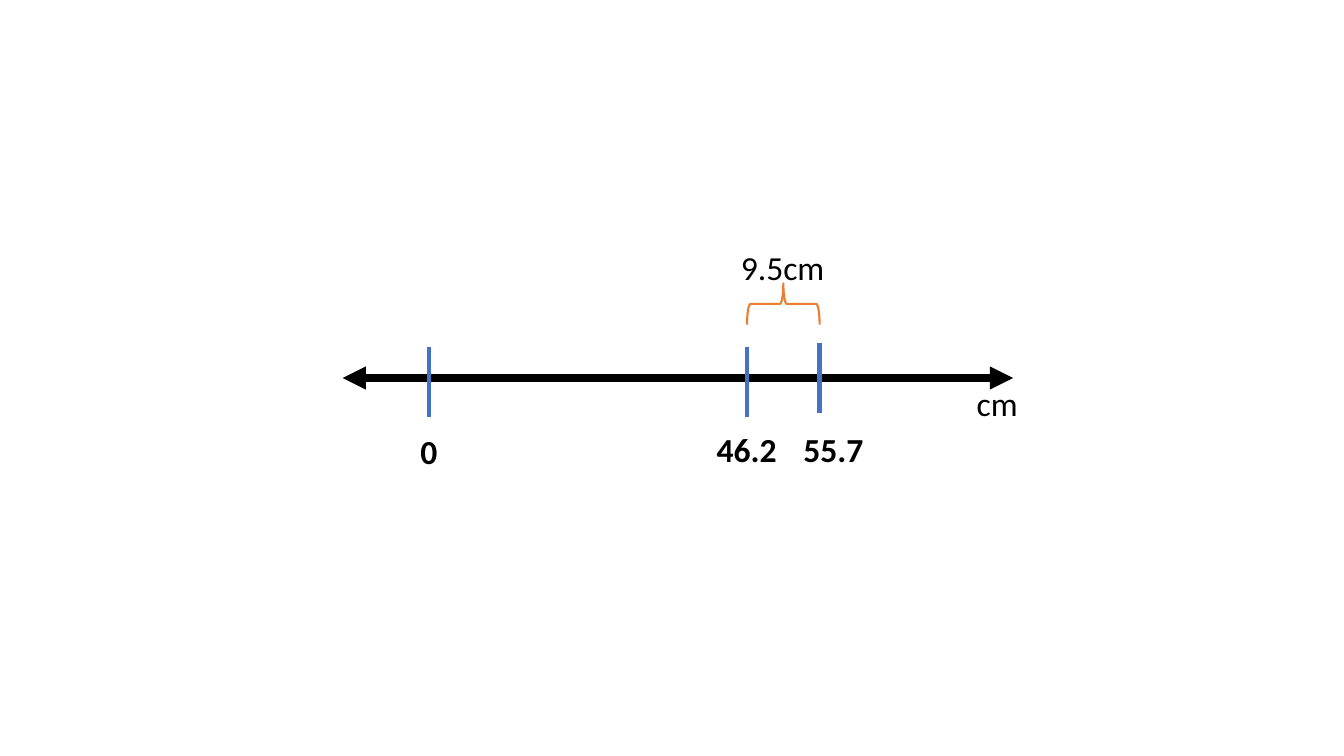
"""Build a slide with a number line in centimetres."""
from dataclasses import dataclass

from pptx import Presentation
from pptx.dml.color import RGBColor
from pptx.enum.shapes import MSO_CONNECTOR, MSO_SHAPE
from pptx.enum.text import MSO_AUTO_SIZE
from pptx.oxml.ns import qn
from pptx.util import Inches, Pt

STRAIGHT = MSO_CONNECTOR.STRAIGHT
LEFT_BRACE = MSO_SHAPE.LEFT_BRACE
GROW = MSO_AUTO_SIZE.SHAPE_TO_FIT_TEXT

WIDTH, HEIGHT = Inches(13.33), Inches(7.5)
COLUMNS = ROWS = 100
BLANK_LAYOUT = 6

AXIS_ROW = 50
TICK_ROWS = 9.33
LABEL_ROWS = 6.67
TICKS = [(31.95, 45.87), (55.58, 45.87), (60.98, 45.33)]
TICK_LABELS = [
    ("0", 30.53, 56.4, 2.78),
    ("46.2", 52.58, 56.13, 6),
    ("55.7", 59.03, 56.13, 6),
]
PLAIN_LABELS = [("9.5cm", 54.38, 32, 7.8), ("cm", 71.93, AXIS_ROW, 4.58)]


@dataclass(frozen=True)
class Theme:
    """Colours, font and sizes of the slide."""
    ink: RGBColor = RGBColor(0x00, 0x00, 0x00)
    tick: RGBColor = RGBColor(0x44, 0x72, 0xC4)
    brace: RGBColor = RGBColor(0xED, 0x7D, 0x31)
    font: str = "Calibri"
    label_size: Pt = Pt(24)
    axis_width: Pt = Pt(5.5)
    tick_width: Pt = Pt(3)
    brace_width: Pt = Pt(1.5)


THEME = Theme()


def across(columns):
    """Turn grid columns into a length."""
    return round(WIDTH * columns / COLUMNS)


def down(rows):
    """Turn grid rows into a length."""
    return round(HEIGHT * rows / ROWS)


def add_line(group, start, end, color, width):
    """Draw a straight line between two grid points."""
    line = group.shapes.add_connector(
        STRAIGHT, across(start[0]), down(start[1]), across(end[0]), down(end[1]))
    line.line.color.rgb = color
    line.line.width = width
    properties = line.element.spPr
    properties.append(properties.makeelement(qn("a:effectLst"), {}))
    return line


def add_axis(group, left, right):
    """Draw the axis with an arrowhead at each end."""
    axis = add_line(group, (left, AXIS_ROW), (right, AXIS_ROW),
                    THEME.ink, THEME.axis_width)
    outline = axis.element.spPr.find(qn("a:ln"))
    for end in ("a:headEnd", "a:tailEnd"):
        outline.append(outline.makeelement(qn(end), {"type": "triangle"}))


def add_brace(group, left, right, top, rows):
    """Draw a brace that opens downwards over the given columns."""
    span, depth = across(right - left), down(rows)
    center_x, center_y = across((left + right) / 2), down(top + rows / 2)
    brace = group.shapes.add_shape(
        LEFT_BRACE, center_x - depth // 2, center_y - span // 2, depth, span)
    brace.rotation = 90
    brace.shadow.inherit = False
    brace.fill.background()
    brace.line.color.rgb = THEME.brace
    brace.line.width = THEME.brace_width


def add_label(group, text, left, top, columns, bold=False):
    """Write a one-line label."""
    box = group.shapes.add_textbox(
        across(left), down(top), across(columns), down(LABEL_ROWS))
    text_frame = box.text_frame
    text_frame.text = text
    text_frame.word_wrap = False
    text_frame.auto_size = GROW
    font = text_frame.paragraphs[0].runs[0].font
    font.name = THEME.font
    font.size = THEME.label_size
    font.bold = bold
    font.color.rgb = THEME.ink


def main():
    """Build and save the slide."""
    presentation = Presentation()
    presentation.slide_width, presentation.slide_height = WIDTH, HEIGHT
    slide = presentation.slides.add_slide(presentation.slide_layouts[BLANK_LAYOUT])
    number_line = slide.shapes.add_group_shape()

    add_axis(number_line, 25.5, 75.38)
    for column, top in TICKS:
        add_line(number_line, (column, top), (column, top + TICK_ROWS),
                 THEME.tick, THEME.tick_width)
    for label in TICK_LABELS:
        add_label(number_line, *label, bold=True)
    add_brace(number_line, TICKS[1][0], TICKS[2][0], 37.47, 5.47)
    for label in PLAIN_LABELS:
        add_label(number_line, *label)

    presentation.save("out.pptx")


if __name__ == "__main__":
    main()
